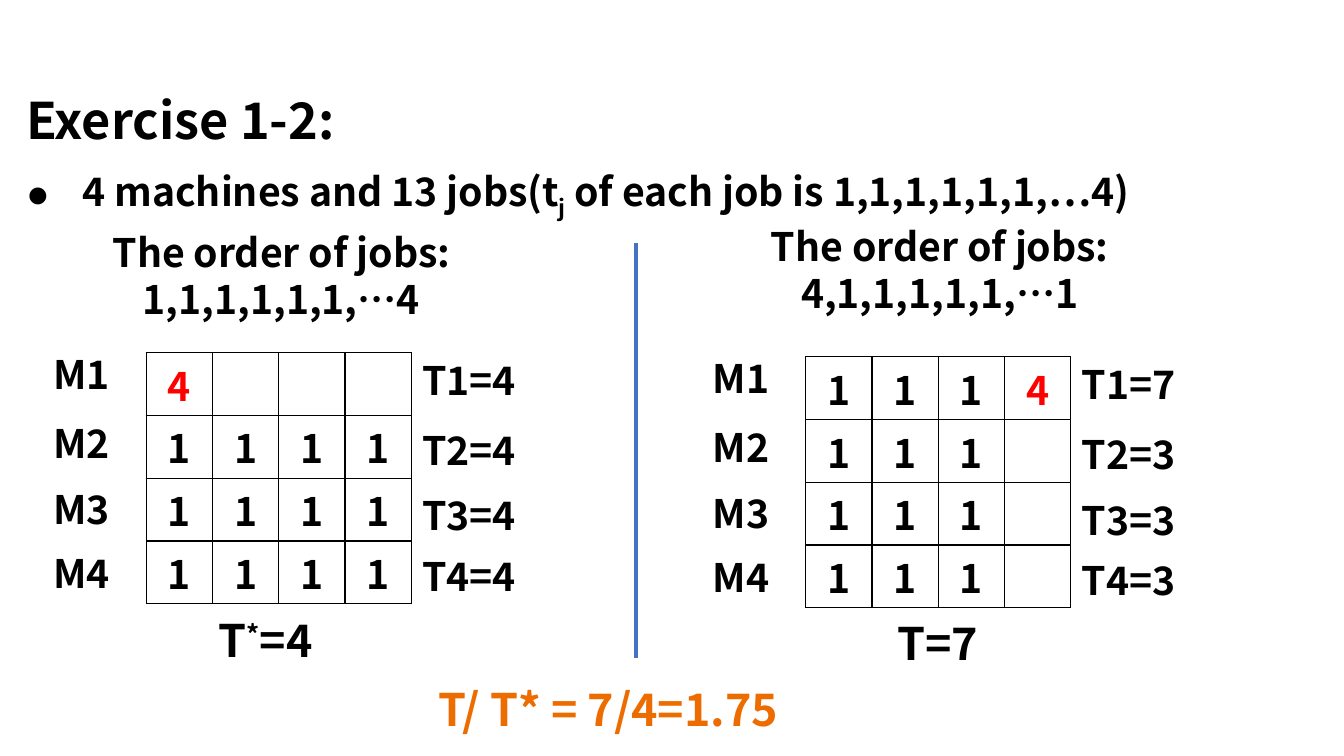
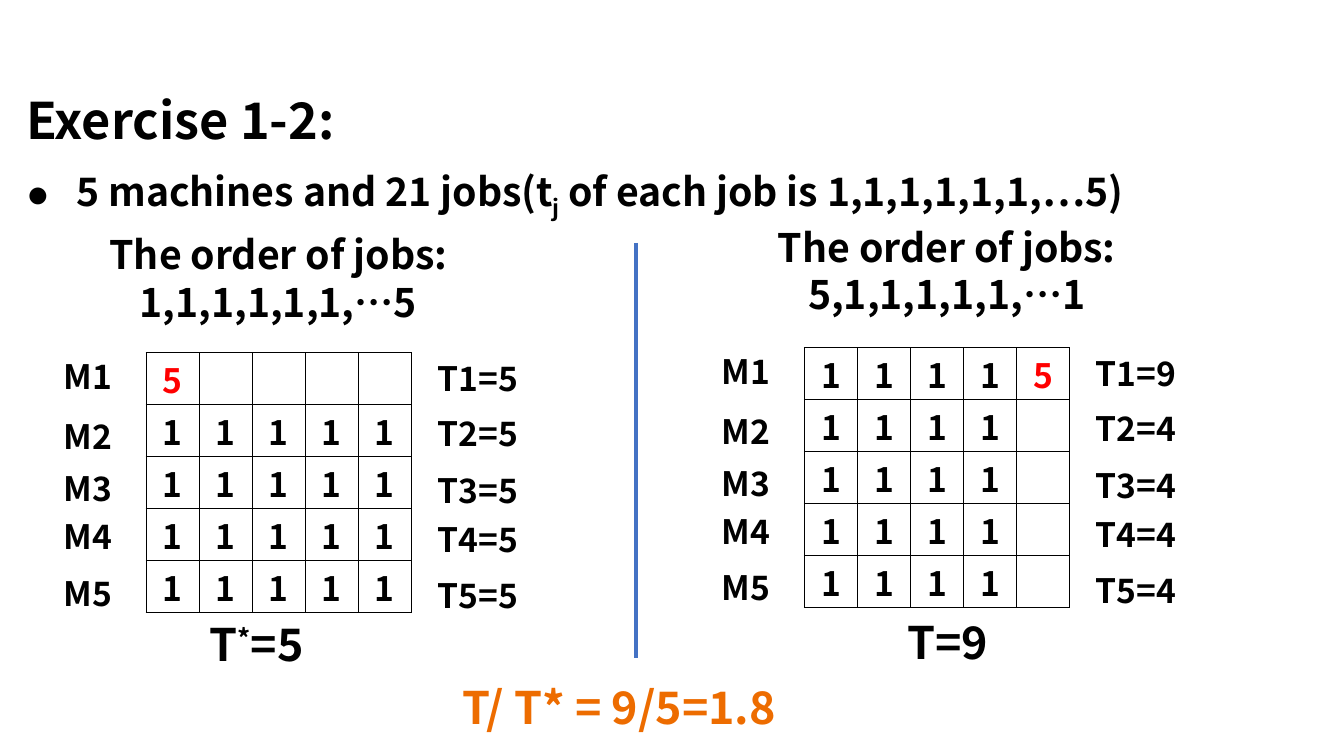
from lxml.etree import SubElement
from pptx import Presentation
from pptx.dml.color import RGBColor
from pptx.enum.shapes import MSO_CONNECTOR
from pptx.enum.text import MSO_ANCHOR, MSO_AUTO_SIZE, PP_ALIGN
from pptx.oxml.ns import qn
from pptx.util import Emu, Pt

FONT = "Noto Sans CJK SC"
COLORS = {
    "text": "000000",
    "last_job": "FF0000",
    "ratio": "ED6C00",
    "divider": "4472C4",
    "border": "000000",
    "cell": "FFFFFF",
}
TITLE = "Exercise 1-2:"
TABLE_WIDTH = 263

EXERCISES = [
    dict(
        machines=4, jobs=13, size=28, indent=56, prompt_width=1214,
        table_height=249, label_box=(85, 57), time_box=(123, 57),
        label_dx=-102, time_dx=264,
        label_dys=[-7, 61, 127, 190], time_dys=[-1, 68, 133, 193],
        ratio=("T/ T* = 7/4=1.75", 425, 671, 400),
        schedules=[
            dict(order="1,1,1,1,1,1,…4", order_at=(93, 222), table_at=(145, 350),
                 rows=["4", "1111", "1111", "1111"], times=[4, 4, 4, 4],
                 total=[("T", 0), ("*", 30), ("=4", 0)], total_box=(207, 603, 125, 64)),
            dict(order="4,1,1,1,1,1,…1", order_at=(746, 216), table_at=(799, 354),
                 rows=["1114", "111", "111", "111"], times=[7, 3, 3, 3],
                 total=[("T=7", 0)], total_box=(880, 606, 110, 64)),
        ],
    ),
    dict(
        machines=5, jobs=21, size=24, indent=50, prompt_width=1136,
        table_height=258, label_box=(75, 50), time_box=(108, 50),
        label_dx=-92, time_dx=279,
        label_dys=[-2, 58, 109, 157, 213], time_dys=[0, 55, 111, 160, 215],
        ratio=("T/ T* = 9/5=1.8", 449, 669, 373),
        schedules=[
            dict(order="1,1,1,1,1,1,…5", order_at=(90, 224), table_at=(145, 350),
                 rows=["5", "11111", "11111", "11111", "11111"], times=[5, 5, 5, 5, 5],
                 total=[("T", 0), ("*", 30), ("=5", 0)], total_box=(198, 607, 125, 64)),
            dict(order="5,1,1,1,1,1,…1", order_at=(753, 217), table_at=(798, 345),
                 rows=["11115", "1111", "1111", "1111", "1111"], times=[9, 4, 4, 4, 4],
                 total=[("T=9", 0)], total_box=(890, 605, 110, 64)),
        ],
    ),
]


def px(n):
    """Turn px, 100 to the inch, into EMU."""
    return Emu(n * 9144)


def add_run(p, text, size, color="text", baseline=0):
    r = p.add_run()
    r.text = text
    r.font.size = Pt(size)
    r.font.bold = True
    r.font.name = FONT
    r.font.color.rgb = RGBColor.from_string(COLORS[color])
    rPr = r._r.get_or_add_rPr()
    SubElement(rPr, qn("a:ea"), typeface=FONT)
    if baseline:
        rPr.set("baseline", str(baseline * 1000))


def add_text(slide, box, paragraphs, size, color="text", align=PP_ALIGN.LEFT, wrap=False):
    """Add a text box; each paragraph is a list of (text, baseline percent) runs."""
    tf = slide.shapes.add_textbox(*map(px, box)).text_frame
    tf.word_wrap = wrap
    tf.auto_size = MSO_AUTO_SIZE.SHAPE_TO_FIT_TEXT
    for i, runs in enumerate(paragraphs):
        p = tf.add_paragraph() if i else tf.paragraphs[0]
        p.alignment = align
        for text, baseline in runs:
            add_run(p, text, size, color, baseline)
    return tf


def set_title(slide, text):
    sp = slide.shapes.title
    sp.left, sp.top, sp.width, sp.height = map(px, (16, 83, 1086, 71))
    tf = sp.text_frame
    tf.vertical_anchor = MSO_ANCHOR.TOP
    tf.auto_size = MSO_AUTO_SIZE.NONE
    p = tf.paragraphs[0]
    p.alignment = PP_ALIGN.LEFT
    add_run(p, text, 36)


def add_prompt(slide, ex):
    n = ex["machines"]
    runs = [(f"{n} machines and {ex['jobs']} jobs(t", 0), ("j", -25),
            (f" of each job is 1,1,1,1,1,1,…{n})", 0)]
    tf = add_text(slide, (16, 161, ex["prompt_width"], 57), [runs], 28, wrap=True)
    pPr = tf.paragraphs[0]._p.get_or_add_pPr()
    pPr.set("marL", str(px(ex["indent"])))
    pPr.set("indent", str(-px(ex["indent"])))
    SubElement(pPr, qn("a:buFont"), typeface="Arial")
    SubElement(pPr, qn("a:buChar"), char="●")


def add_divider(slide):
    line = slide.shapes.add_connector(MSO_CONNECTOR.STRAIGHT, *map(px, (631, 241, 631, 653)))
    line.line.color.rgb = RGBColor.from_string(COLORS["divider"])
    line.line.width = Pt(3)
    SubElement(line._element.spPr, qn("a:effectLst"))


def style_cell(cell):
    cell.margin_top = cell.margin_bottom = 0
    cell.vertical_anchor = MSO_ANCHOR.MIDDLE
    tcPr = cell._tc.get_or_add_tcPr()
    for side in ("lnL", "lnR", "lnT", "lnB"):
        ln = SubElement(tcPr, qn(f"a:{side}"), w=str(Pt(1)))
        fill = SubElement(ln, qn("a:solidFill"))
        SubElement(fill, qn("a:srgbClr"), val=COLORS["border"])
    cell.fill.solid()
    cell.fill.fore_color.rgb = RGBColor.from_string(COLORS["cell"])


def add_job_table(slide, at, height, rows, size):
    n = len(rows)
    box = (*at, TABLE_WIDTH, height)
    table = slide.shapes.add_table(n, n, *map(px, box)).table
    table.first_row = table.horz_banding = False
    for i, jobs in enumerate(rows):
        table.rows[i].height = px(height) // n
        table.columns[i].width = px(TABLE_WIDTH) // n
        for j, job in enumerate(jobs.ljust(n)):
            cell = table.cell(i, j)
            style_cell(cell)
            if job != " ":
                p = cell.text_frame.paragraphs[0]
                p.alignment = PP_ALIGN.CENTER
                add_run(p, job, size, "text" if job == "1" else "last_job")


def add_schedule(slide, ex, schedule):
    """Add one half: job order, table, machine names, finish times and total."""
    lines = [[("The order of jobs:", 0)], [(schedule["order"], 0)]]
    add_text(slide, (*schedule["order_at"], 372, 104), lines, 28, align=PP_ALIGN.CENTER)
    left, top = schedule["table_at"]
    size = ex["size"]
    add_job_table(slide, (left, top), ex["table_height"], schedule["rows"], size)
    offsets = zip(schedule["times"], ex["label_dys"], ex["time_dys"])
    for i, (time, label_dy, time_dy) in enumerate(offsets, 1):
        add_text(slide, (left + ex["label_dx"], top + label_dy, *ex["label_box"]),
                 [[(f"M{i}", 0)]], size)
        add_text(slide, (left + ex["time_dx"], top + time_dy, *ex["time_box"]),
                 [[(f"T{i}={time}", 0)]], size)
    add_text(slide, schedule["total_box"], [schedule["total"]], 32)


def add_exercise(prs, ex):
    slide = prs.slides.add_slide(prs.slide_layouts[5])
    set_title(slide, TITLE)
    add_prompt(slide, ex)
    add_divider(slide)
    for schedule in ex["schedules"]:
        add_schedule(slide, ex, schedule)
    text, left, top, width = ex["ratio"]
    add_text(slide, (left, top, width, 64), [[(text, 0)]], 32, "ratio")


def main():
    prs = Presentation()
    prs.slide_width, prs.slide_height = px(1333), px(750)
    for ex in EXERCISES:
        add_exercise(prs, ex)
    prs.save("out.pptx")


if __name__ == "__main__":
    main()
